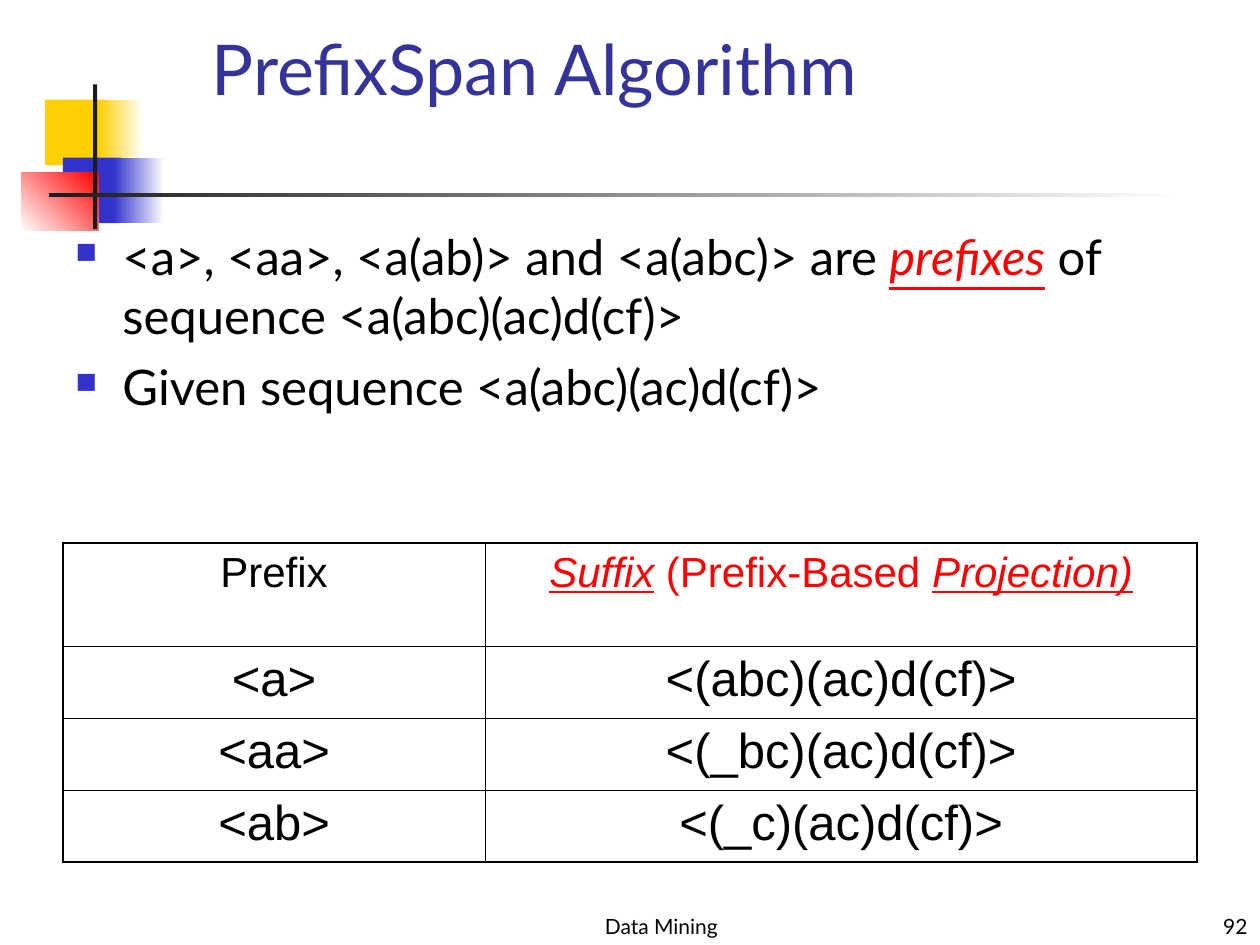
"""Build the PrefixSpan slide on prefixes and suffixes."""
from lxml import etree
from pptx import Presentation
from pptx.dml.color import RGBColor
from pptx.enum import shapes, text
from pptx.oxml import ns
from pptx.util import Cm, Pt

HUES = {"gold": "FFCF01", "blue": "3333CC", "red": "FF0000", "dark": "1C1C1C",
        "white": "FFFFFF", "black": "000000", "title": "333399"}
ALIGN = text.PP_ALIGN
ANCHOR = text.MSO_ANCHOR


def hue(name):
    return RGBColor.from_string(HUES[name])


def write(para, parts, size, face, align=ALIGN.LEFT):
    para.alignment = align
    para.font.size, para.font.name = Pt(size), face
    for words, tint, marked in parts:
        run = para.add_run()
        run.text = words
        font = run.font
        font.size, font.name, font.bold = Pt(size), face, False
        font.color.rgb = hue(tint)
        font.italic = font.underline = marked


deck = Presentation()
deck.slide_width, deck.slide_height = Cm(25.4), Cm(19.05)
slide = deck.slides.add_slide(deck.slide_layouts[6])

decor = [
    (0.91, 2.01, 1.22, 1.32, ["gold"], 0),
    (1.98, 2.01, 0.91, 1.32, ["gold", "white"], 0),
    (1.27, 3.18, 1.17, 1.32, ["blue"], 0),
    (2.29, 3.18, 1.02, 1.32, ["blue", "white"], 0),
    (0.43, 3.48, 1.55, 1.17, ["white", "red"], 45),
    (1.88, 1.7, 0.08, 2.92, ["dark"], 0),
    (0.99, 3.89, 22.86, 0.08, ["dark", "white"], 0),
]
for left, top, wide, high, tints, angle in decor:
    block = slide.shapes.add_shape(shapes.MSO_SHAPE.RECTANGLE,
                                   Cm(left), Cm(top), Cm(wide), Cm(high))
    block.shadow.inherit = False
    block.line.fill.background()
    if len(tints) == 1:
        block.fill.solid()
        block.fill.fore_color.rgb = hue(tints[0])
    else:
        block.fill.gradient()
        block.fill.gradient_angle = angle
        for stop, tint in zip(block.fill.gradient_stops, tints):
            stop.color.rgb = hue(tint)

points = [
    [("<a>, <aa>, <a(ab)> and <a(abc)> are ", "black", False),
     ("prefixes", "red", True),
     (" of sequence <a(abc)(ac)d(cf)>", "black", False)],
    [("Given sequence <a(abc)(ac)d(cf)>", "black", False)],
]
boxes = [
    (9.31, 17.98, 8.05, 1.07, ANCHOR.BOTTOM, ALIGN.CENTER, 12,
     [[("Data Mining", "black", False)]]),
    (20.12, 17.98, 5.28, 1.07, ANCHOR.BOTTOM, ALIGN.RIGHT, 12,
     [[("92", "black", False)]]),
    (4.02, 0.76, 20.11, 1.57, ANCHOR.BOTTOM, ALIGN.LEFT, 40,
     [[("PrefixSpan Algorithm", "title", False)]]),
    (1.27, 4.45, 22.86, 6.07, ANCHOR.TOP, ALIGN.LEFT, 28, points),
]
for left, top, wide, high, anchor, align, size, paras in boxes:
    frame = slide.shapes.add_textbox(Cm(left), Cm(top), Cm(wide), Cm(high)).text_frame
    frame.word_wrap = True
    frame.vertical_anchor = anchor
    for rank, parts in enumerate(paras):
        para = frame.add_paragraph() if rank else frame.paragraphs[0]
        if paras is points:
            props = para._p.get_or_add_pPr()
            props.set("marL", str(Cm(0.95)))
            props.set("indent", str(-Cm(0.95)))
            tint = etree.SubElement(props, ns.qn("a:buClr"))
            etree.SubElement(tint, ns.qn("a:srgbClr"), val=HUES["blue"])
            etree.SubElement(props, ns.qn("a:buSzPct"), val="60000")
            etree.SubElement(props, ns.qn("a:buChar"), char="■")
        if rank:
            para.space_before = Pt(7)
        write(para, parts, size, "Lato", align)

pairs = [("<a>", "<(abc)(ac)d(cf)>"), ("<aa>", "<(_bc)(ac)d(cf)>"),
         ("<ab>", "<(_c)(ac)d(cf)>")]
rows = [[[("Prefix", "black", False)],
         [("Suffix", "red", True), (" (Prefix-Based ", "red", False),
          ("Projection)", "red", True)]]]
rows += [[[(words, "black", False)] for words in pair] for pair in pairs]
wides, highs = [8.51, 14.35], [2.08, 1.45, 1.45, 1.45]
table = slide.shapes.add_table(len(highs), len(wides), Cm(1.27), Cm(10.95),
                               Cm(sum(wides)), Cm(sum(highs))).table
table.first_row = table.horz_banding = False
for col, wide in zip(table.columns, wides):
    col.width = Cm(wide)
for y, (row, high) in enumerate(zip(rows, highs)):
    table.rows[y].height = Cm(high)
    for x, parts in enumerate(row):
        cell = table.cell(y, x)
        write(cell.text_frame.paragraphs[0], parts, 28 if y else 24, "Arial", ALIGN.CENTER)
        props = cell._tc.get_or_add_tcPr()
        edges = {"L": x == 0, "R": x == len(wides) - 1,
                 "T": y == 0, "B": y == len(highs) - 1}
        for side, outer in edges.items():
            line = etree.SubElement(props, ns.qn("a:ln" + side),
                                    w=str(Pt(1.08 if outer else 0.45)))
            fill = etree.SubElement(line, ns.qn("a:solidFill"))
            etree.SubElement(fill, ns.qn("a:srgbClr"), val=HUES["black"])
        cell.fill.background()

deck.save("out.pptx")
